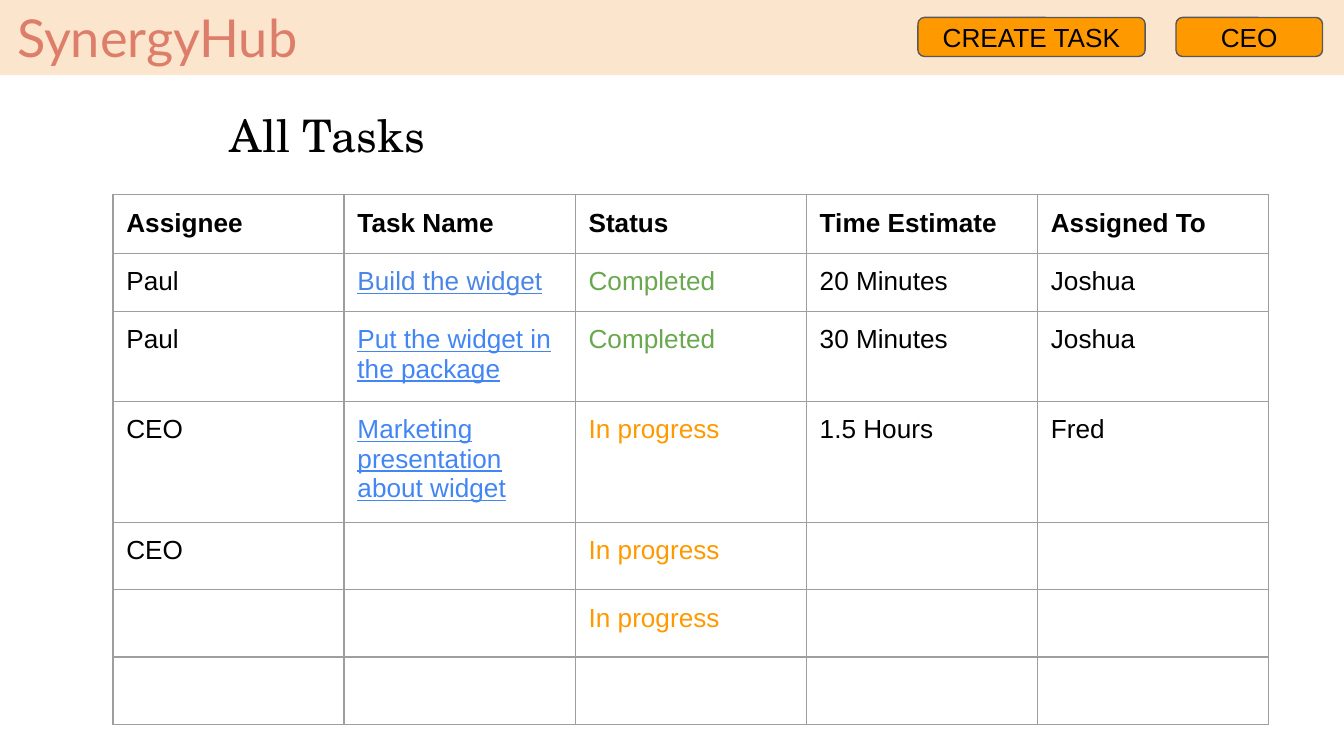
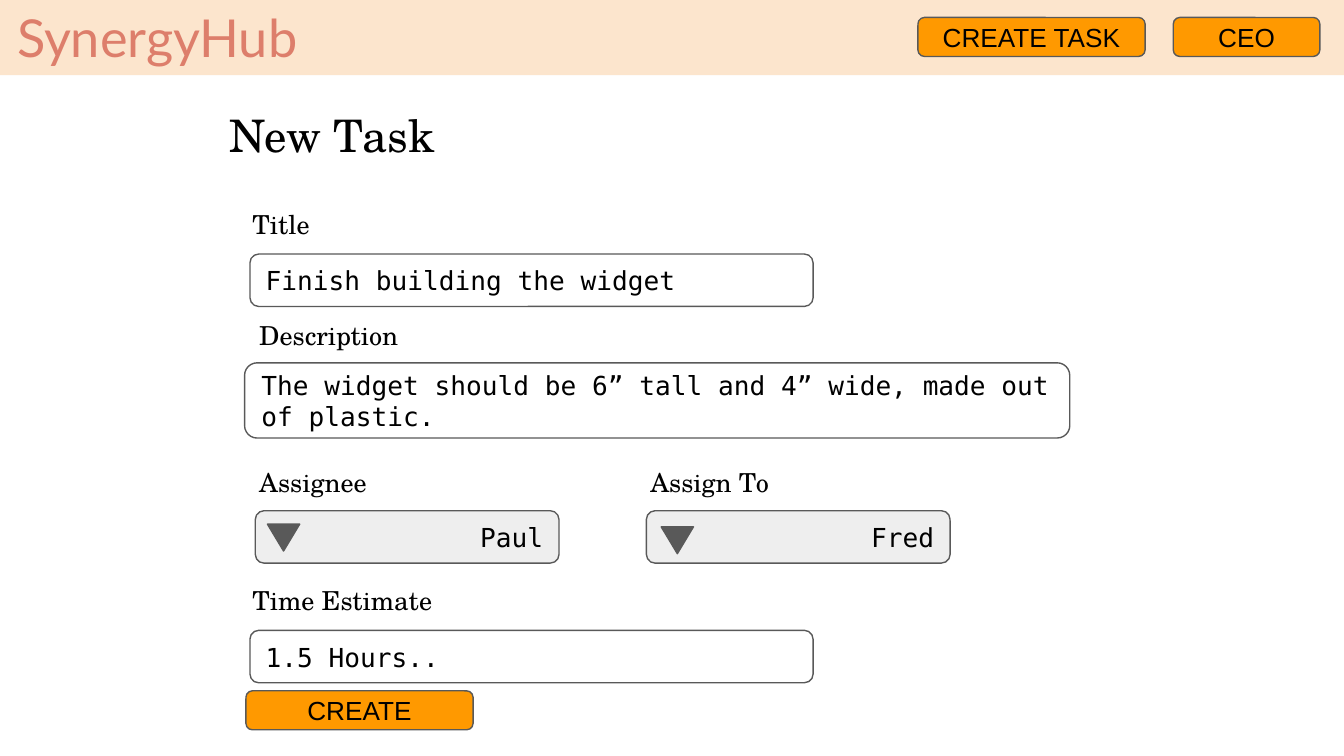
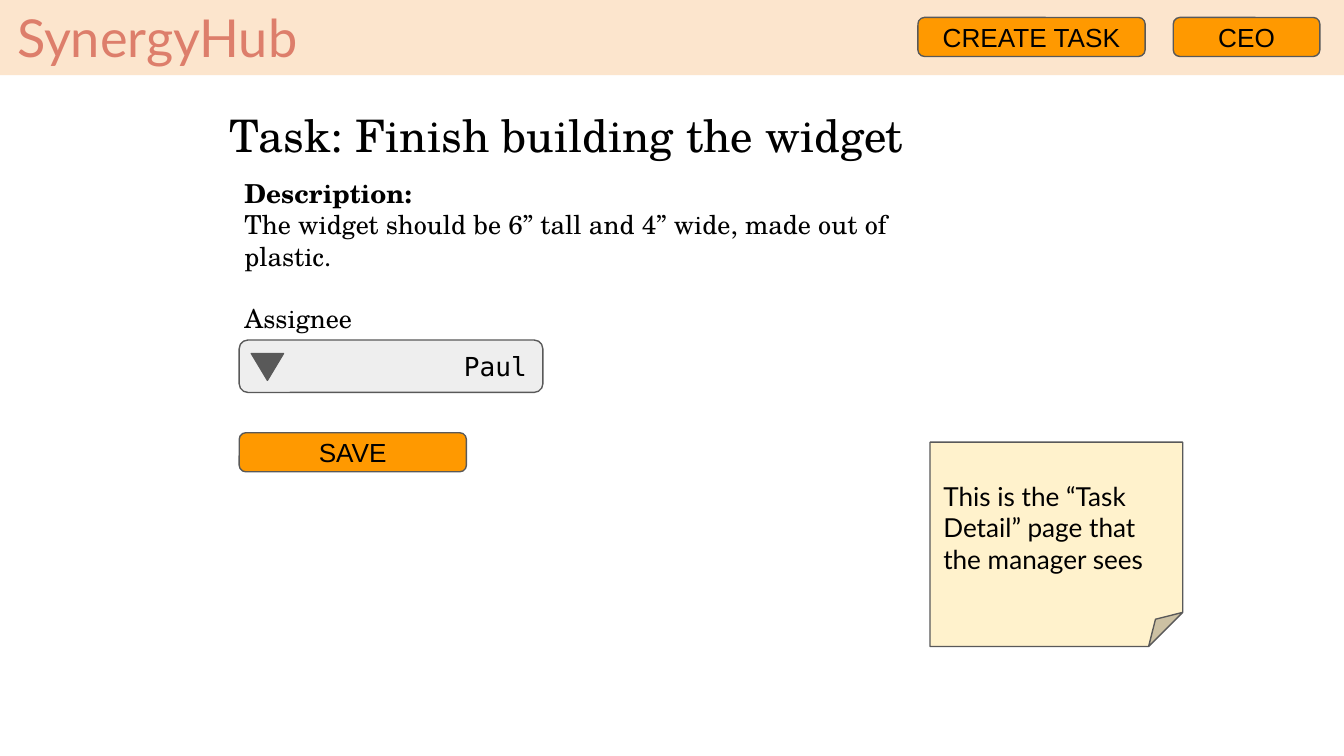
from dataclasses import dataclass

from lxml import etree
from pptx import Presentation
from pptx.dml.color import RGBColor
from pptx.enum import shapes, text
from pptx.oxml import ns
from pptx.util import Inches, Pt


@dataclass(frozen=True)
class Theme:
    """Colours, fonts and sizes shared by all slides."""
    band: str = "FCE5CD"
    brand: str = "DD7E6B"
    accent: str = "FF9900"
    ink: str = "000000"
    edge: str = "595959"
    field: str = "FFFFFF"
    menu: str = "EEEEEE"
    note: str = "FFF2CC"
    grid: str = "9E9E9E"
    done: str = "6AA84F"
    sans: str = "Arial"
    mono: str = "DejaVu Sans Mono"
    lato: str = "Lato"
    serif: str = "TeX Gyre Schola"
    logo: int = 28
    title: int = 24
    body: int = 14
    rule: float = 0.75


T = Theme()
KIND = shapes.MSO_SHAPE
ALIGN = text.PP_ALIGN
PAD = 0.1
BAR = 0.29      # button height
FIELD = 0.39    # input height
MENU = 2.26     # menu width
WIDE = 1.69     # wide button width

HEAD = ["Assignee", "Task Name", "Status", "Time Estimate", "Assigned To"]
TASKS = [
    ["Paul", "Build the widget", "Completed", "20 Minutes", "Joshua"],
    ["Paul", "Put the widget in the package", "Completed", "30 Minutes",
     "Joshua"],
    ["CEO", "Marketing presentation about widget", "In progress",
     "1.5 Hours", "Fred"],
    ["CEO", "", "In progress", "", ""],
    ["", "", "In progress", "", ""],
    ["", "", "", "", ""],
]
ROWS = [0.43, 0.43, 0.67, 0.9, 0.5, 0.5, 0.5]
COL = 1.72
LINKS = ["4A86E8", "4285F4", "4285F4"]
STATES = {"Completed": T.done, "In progress": T.accent}

DETAIL = "The widget should be 6” tall and 4” wide, made out of plastic."
LABELS = [  # text, left, top, width
    ("Title", 1.78, 1.45, 1.12),
    ("Description", 1.83, 2.28, 1.59),
    ("Assignee", 1.83, 3.37, 1.59),
    ("Assign To", 4.74, 3.37, 1.59),
    ("Time Estimate", 1.78, 4.25, 2.17),
]
INPUTS = [  # text, left, top, width, height
    ("Finish building the widget", 1.86, 1.89, 4.19, FIELD),
    (DETAIL, 1.82, 2.7, 6.14, 0.56),
    ("1.5 Hours..", 1.86, 4.69, 4.19, FIELD),
]
MENUS = [  # text, left, top, arrow offset
    ("Paul", 1.9, 3.8, 0.09),
    ("Fred", 4.81, 3.8, 0.11),
]
NOTE = "This is the “Task Detail” page that the manager sees"


def style(para, font, size=T.body, color=T.ink, bold=False, under=False):
    """Format every run of a paragraph."""
    for run in para.runs:
        face = run.font
        face.name, face.size = font, Pt(size)
        face.bold, face.underline = bold, under
        face.color.rgb = RGBColor.from_string(color)


def inset(frame, anchor):
    """Give a text frame its padding, wrapping and anchor."""
    frame.margin_left = frame.margin_right = Inches(PAD)
    frame.margin_top = frame.margin_bottom = Inches(PAD)
    frame.word_wrap = True
    frame.vertical_anchor = anchor


def write(frame, words, font, align=ALIGN.LEFT,
          anchor=text.MSO_ANCHOR.MIDDLE, **look):
    """Fill a text frame and format it."""
    inset(frame, anchor)
    frame.text = words
    for para in frame.paragraphs:
        para.alignment = align
        style(para, font, **look)


def label(slide, words, x, y, w, h=0.44, font=T.serif, **look):
    """Add a plain text box that fits its text."""
    box = slide.shapes.add_textbox(Inches(x), Inches(y), Inches(w), Inches(h))
    write(box.text_frame, words, font, anchor=text.MSO_ANCHOR.TOP, **look)
    box.text_frame.auto_size = text.MSO_AUTO_SIZE.SHAPE_TO_FIT_TEXT
    return box


def block(slide, kind, x, y, w, h, fill, edge=T.edge):
    """Add a filled preset shape, outlined unless edge is None."""
    shape = slide.shapes.add_shape(
        kind, Inches(x), Inches(y), Inches(w), Inches(h))
    shape.shadow.inherit = False
    shape.fill.solid()
    shape.fill.fore_color.rgb = RGBColor.from_string(fill)
    if edge:
        shape.line.color.rgb = RGBColor.from_string(edge)
        shape.line.width = Pt(T.rule)
    else:
        shape.line.fill.background()
    return shape


def button(slide, words, x, y, w=WIDE):
    """Add an orange button."""
    shape = block(slide, KIND.ROUNDED_RECTANGLE, x, y, w, BAR, T.accent)
    write(shape.text_frame, words, T.sans, ALIGN.CENTER)


def entry(slide, words, x, y, w, h=FIELD, fill=T.field, align=ALIGN.LEFT):
    """Add an input field."""
    shape = block(slide, KIND.ROUNDED_RECTANGLE, x, y, w, h, fill)
    write(shape.text_frame, words, T.mono, align)


def menu(slide, words, x, y, gap=0.09):
    """Add a drop-down menu with its arrow."""
    entry(slide, words, x, y, MENU, fill=T.menu, align=ALIGN.RIGHT)
    arrow = block(slide, KIND.ISOSCELES_TRIANGLE, x + gap, y + gap + 0.01,
                  0.24, 0.2, T.edge)
    arrow.rotation = 180


def page(deck, title, width, user=8.73):
    """Add a slide with its title, header band and header buttons."""
    slide = deck.slides.add_slide(deck.slide_layouts[5])
    head = slide.shapes.title
    head.left, head.top = Inches(1.61), Inches(0.7)
    head.width, head.height = Inches(width), Inches(0.61)
    write(head.text_frame, title, T.serif, size=T.title,
          anchor=text.MSO_ANCHOR.TOP)
    head.text_frame.auto_size = text.MSO_AUTO_SIZE.SHAPE_TO_FIT_TEXT
    block(slide, KIND.RECTANGLE, 0, 0, 10, 0.56, T.band, None)
    label(slide, "SynergyHub", 0.03, -0.06, 5.03, 0.67, T.lato,
          size=T.logo, color=T.brand)
    button(slide, "CEO", user, 0.13, 1.09)
    button(slide, "CREATE TASK", 6.83, 0.13)
    return slide


def border(cell):
    """Draw a thin line on all four sides of a cell."""
    props = cell._tc.get_or_add_tcPr()
    for spot, side in enumerate(("lnL", "lnR", "lnT", "lnB")):
        line = etree.Element(ns.qn("a:" + side), w=str(Pt(T.rule)))
        fill = etree.SubElement(line, ns.qn("a:solidFill"))
        etree.SubElement(fill, ns.qn("a:srgbClr"), val=T.grid)
        props.insert(spot, line)


def tint(row, col, words):
    """Choose the text colour of a table cell."""
    if row and col == 1:
        return LINKS[row - 1]
    return STATES.get(words, T.ink)


def grid(slide, x, y):
    """Add the task table."""
    data = [HEAD] + TASKS
    table = slide.shapes.add_table(
        len(data), len(HEAD), Inches(x), Inches(y),
        Inches(COL * len(HEAD)), Inches(sum(ROWS))).table
    table.first_row = table.horz_banding = False
    for col in table.columns:
        col.width = Inches(COL)
    for r, line in enumerate(data):
        table.rows[r].height = Inches(ROWS[r])
        for c, words in enumerate(line):
            cell = table.cell(r, c)
            cell.fill.background()
            border(cell)
            cell.margin_left = cell.margin_right = Inches(PAD)
            cell.margin_top = cell.margin_bottom = Inches(PAD)
            if words:
                cell.text = words
                style(cell.text_frame.paragraphs[0], T.sans,
                      color=tint(r, c, words), bold=r == 0,
                      under=r > 0 and c == 1)


def tasks(deck):
    """Build the list of all tasks."""
    slide = page(deck, "All Tasks", 1.69, user=8.75)
    grid(slide, 0.84, 1.45)


def form(deck):
    """Build the form for a new task."""
    slide = page(deck, "New Task", 2.26)
    for item in LABELS:
        label(slide, *item)
    for item in INPUTS:
        entry(slide, *item)
    for item in MENUS:
        menu(slide, *item)
    button(slide, "CREATE", 1.83, 5.14)


def detail(deck):
    """Build the page of one task."""
    slide = page(deck, "Task: Finish building the widget", 6.23)
    box = label(slide, "Description:\n" + DETAIL, 1.72, 1.22, 5.25, 1.14)
    style(box.text_frame.paragraphs[0], T.serif, bold=True)
    label(slide, "Assignee", 1.72, 2.15, 1.59)
    button(slide, "SAVE", 1.78, 3.22)
    menu(slide, "Paul", 1.78, 2.53)
    note = block(slide, KIND.FOLDED_CORNER, 6.92, 3.29, 1.88, 1.52, T.note)
    write(note.text_frame, NOTE, T.lato)


def main():
    """Build and save the widescreen deck."""
    deck = Presentation()
    deck.slide_width = Inches(10)
    deck.slide_height = deck.slide_width * 9 // 16
    for build in (tasks, form, detail):
        build(deck)
    deck.save("out.pptx")


main()
